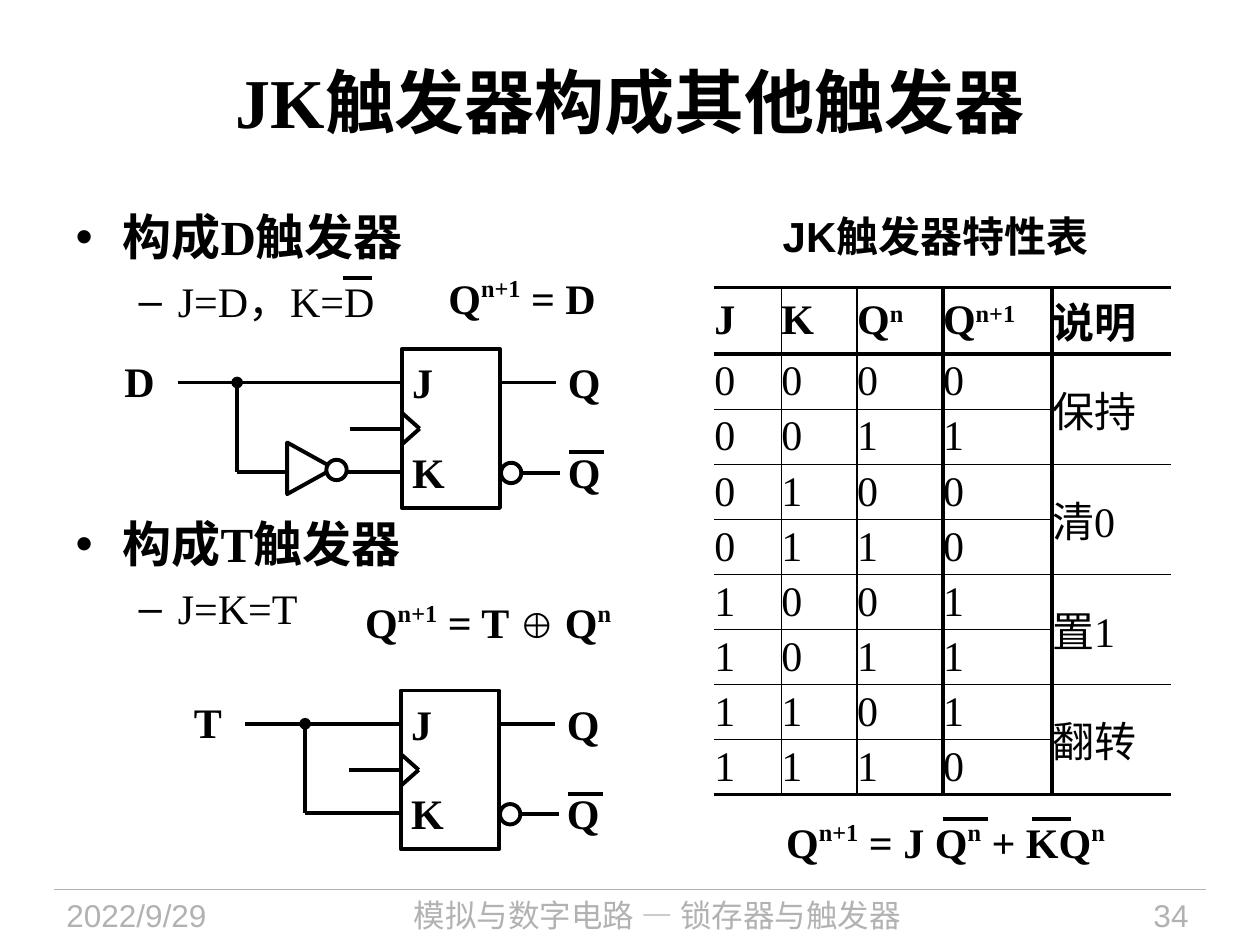
from dataclasses import dataclass

from lxml import etree
from pptx import Presentation
from pptx import util as u
from pptx.dml.color import RGBColor
from pptx.enum import shapes, text
from pptx.oxml.ns import qn

COLORS = {"ink": "000000", "paper": "FFFFFF", "muted": "B2B2B2"}
SERIF, SANS, CJK = "Times New Roman", "Arial", "Noto Sans CJK SC"
THIN, THICK = 1, 2.25


@dataclass
class Circuit:
    label: str
    label_left: float
    label_width: float
    left: float
    top: float
    wire_start: float
    branch: float
    inverted: bool = False


@dataclass
class ListItem:
    words: str
    level: int
    before: float = 0


CIRCUITS = [
    Circuit("D", 2.26, 1.12, 8.1, 7.04, 3.58, 4.78, inverted=True),
    Circuit("T", 3.66, 1.07, 8.08, 13.92, 4.93, 6.15),
]
ITEMS = [
    ListItem("构成D触发器", 0),
    ListItem("J=D，K=D", 1),
    ListItem("构成T触发器", 0, before=102.6),
    ListItem("J=K=T", 1),
]
LEVELS = [("•", 28, True, 0.95, -0.95), ("–", 24, False, 2.06, -0.79)]
HEADER = ["J", "K", "Q^n", "Q^n+1", "说明"]
NEXT_STATES = [0, 1, 0, 0, 1, 1, 1, 0]
MEANINGS = ["保持", "清0", "置1", "翻转"]
COLUMN_WIDTHS = [1.35, 1.53, 1.73, 2.2, 2.4]
COLUMN_LINES = [None, THIN, THIN, THICK, THICK, None]
ROW_LINES = [THICK, THICK] + [THIN] * 7 + [THICK]


def rgb(name: str) -> RGBColor:
    return RGBColor.from_string(COLORS[name])


def write(para, words: str, *, size=24, font=SERIF, color="ink", bold=True,
          align=text.PP_ALIGN.LEFT, raised=40) -> None:
    para.alignment = align
    for index, part in enumerate(words.split("^")):
        span = para.add_run()
        span.text = part
        symbol = part == "⊕"
        span.font.size = u.Pt(20 if symbol else size)
        span.font.name = SANS if symbol else font
        span.font.bold = bold
        span.font.color.rgb = rgb(color)
        if index % 2 and not symbol:
            span.font._element.set("baseline", str(raised * 1000))


def add_text(canvas, words: str, left: float, top: float, width: float,
             height=1.27, wrap=True, grow=True, **style):
    box = canvas.add_textbox(u.Cm(left), u.Cm(top), u.Cm(width), u.Cm(height))
    frame = box.text_frame
    frame.word_wrap = wrap
    frame.auto_size = (text.MSO_AUTO_SIZE.SHAPE_TO_FIT_TEXT if grow
                       else text.MSO_AUTO_SIZE.NONE)
    write(frame.paragraphs[0], words, **style)
    return box


def add_line(canvas, x1: float, y1: float, x2: float, y2: float,
             color="ink", weight=THICK, dot=False):
    line = canvas.add_connector(shapes.MSO_CONNECTOR.STRAIGHT,
                                u.Cm(x1), u.Cm(y1), u.Cm(x2), u.Cm(y2))
    line.line.color.rgb = rgb(color)
    line.line.width = u.Pt(weight)
    if dot:
        etree.SubElement(line.line._get_or_add_ln(), qn("a:headEnd"), type="oval")
    etree.SubElement(line._element.spPr, qn("a:effectLst"))
    return line


def add_shape(canvas, kind, left: float, top: float, width: float, height: float,
              filled=True, rotation=0):
    shape = canvas.add_shape(kind, u.Cm(left), u.Cm(top), u.Cm(width), u.Cm(height))
    shape.shadow.inherit = False
    shape.rotation = rotation
    if filled:
        shape.fill.solid()
        shape.fill.fore_color.rgb = rgb("paper")
    else:
        shape.fill.background()
    shape.line.color.rgb = rgb("ink")
    shape.line.width = u.Pt(THICK)
    return shape


def draw_circuit(page, circuit: Circuit) -> None:
    canvas = page.shapes.add_group_shape().shapes
    left, top = circuit.left, circuit.top
    j_level, clock, k_level = top + 0.67, top + 1.6, top + 2.47
    body = add_shape(canvas, shapes.MSO_SHAPE.RECTANGLE, left, top, 1.98, 3.2, filled=False)
    add_line(canvas, circuit.wire_start, j_level, left, j_level)
    add_line(canvas, left - 1.04, clock, left, clock).end_connect(body, 1)
    for offset in (-0.32, 0.32):
        add_line(canvas, left, clock + offset, left + 0.36, clock)
    add_line(canvas, left + 1.98, j_level, left + 3.1, j_level)
    add_line(canvas, left + 2.06, top + 2.49, left + 3.18, top + 2.49)
    add_shape(canvas, shapes.MSO_SHAPE.OVAL, left + 2, top + 2.29, 0.41, 0.41)
    add_line(canvas, left + 3.38, top + 2.08, left + 4.08, top + 2.08)
    for name, row in (("J", 0.03), ("K", 1.83)):
        add_text(canvas, name, left - 0.04, top + row, 0.99)
        add_text(canvas, "Q", left + 3.1, top + row, 1.17, wrap=False)
    add_line(canvas, circuit.branch, k_level, left, k_level)
    add_line(canvas, circuit.branch, j_level, circuit.branch, k_level, dot=True)
    if circuit.inverted:
        add_shape(canvas, shapes.MSO_SHAPE.FLOWCHART_MERGE, 5.74, 8.97, 1.04, 0.94, rotation=270)
        add_shape(canvas, shapes.MSO_SHAPE.OVAL, 6.58, 9.27, 0.41, 0.41)
    add_text(canvas, circuit.label, circuit.label_left, top, circuit.label_width, wrap=False)


def set_borders(cell, **weights) -> None:
    properties = cell._tc.get_or_add_tcPr()
    for index, (side, weight) in enumerate(weights.items()):
        edge = etree.Element(qn(f"a:ln{side}"), w=str(u.Pt(weight or 0)))
        if weight:
            fill = etree.SubElement(edge, qn("a:solidFill"))
            etree.SubElement(fill, qn("a:srgbClr"), val=COLORS["ink"])
        else:
            etree.SubElement(edge, qn("a:noFill"))
        properties.insert(index, edge)


def draw_table(page) -> None:
    rows = [HEADER]
    for state, following in enumerate(NEXT_STATES):
        rows.append([*f"{state:03b}", str(following), MEANINGS[state // 2]])
    table = page.shapes.add_table(len(rows), len(HEADER), u.Cm(14.4), u.Cm(5.79),
                                  u.Cm(sum(COLUMN_WIDTHS)), u.Cm(10.23)).table
    table.first_row = table.horz_banding = False
    for column, width in zip(table.columns, COLUMN_WIDTHS):
        column.width = u.Cm(width)
    for first in range(1, len(rows), 2):
        table.cell(first, 4).merge(table.cell(first + 1, 4))
    for r, values in enumerate(rows):
        table.rows[r].height = u.Cm(1.11 if r else 1.35)
        for c, value in enumerate(values):
            cell = table.cell(r, c)
            cell.fill.background()
            cell.vertical_anchor = text.MSO_ANCHOR.MIDDLE
            cell.margin_left = cell.margin_right = cell.margin_top = cell.margin_bottom = 0
            height = cell.span_height if cell.is_merge_origin else 1
            set_borders(cell, L=COLUMN_LINES[c], R=COLUMN_LINES[c + 1],
                        T=None if cell.is_spanned else ROW_LINES[r], B=ROW_LINES[r + height])
            if not cell.is_spanned:
                write(cell.text_frame.paragraphs[0], value, bold=r == 0, raised=30)


def place(holder, left: float, top: float, width: float, height: float):
    holder.left, holder.top = u.Cm(left), u.Cm(top)
    holder.width, holder.height = u.Cm(width), u.Cm(height)
    holder.text_frame.auto_size = text.MSO_AUTO_SIZE.NONE
    return holder.text_frame


def draw_list(frame) -> None:
    for index, item in enumerate(ITEMS):
        para = frame.add_paragraph() if index else frame.paragraphs[0]
        bullet, size, bold, margin, indent = LEVELS[item.level]
        para.level = item.level
        para.space_before, para.space_after = u.Pt(item.before), u.Pt(size * 0.2)
        properties = para._p.get_or_add_pPr()
        properties.set("marL", str(u.Cm(margin)))
        properties.set("indent", str(u.Cm(indent)))
        etree.SubElement(properties, qn("a:buChar"), char=bullet)
        write(para, item.words, size=size, bold=bold)


def main() -> None:
    deck = Presentation()
    deck.slide_width, deck.slide_height = u.Cm(25.4), u.Cm(19.05)
    page = deck.slides.add_slide(deck.slide_layouts[1])
    center, right = text.PP_ALIGN.CENTER, text.PP_ALIGN.RIGHT

    title = place(page.shapes.title, 1.27, 0.43, 22.86, 3.18)
    title.vertical_anchor = text.MSO_ANCHOR.MIDDLE
    write(title.paragraphs[0], "JK触发器构成其他触发器", size=40, align=center)
    draw_list(place(page.placeholders[1], 1.27, 4.04, 8.23, 13.69))
    draw_table(page)
    add_text(page.shapes, "JK触发器特性表", 15.01, 4.11, 7.7, font=SANS, align=center)

    formula = page.shapes.add_group_shape().shapes
    add_text(formula, "Q^n+1^ = J Q^n^ + KQ^n", 15.6, 16.33, 7.21)
    for start, end in ((19, 19.91), (20.8, 21.59)):
        add_line(formula, start, 16.51, end, 16.51)
    for circuit in CIRCUITS:
        draw_circuit(page, circuit)
    add_line(page.shapes, 6.91, 5.61, 7.49, 5.61)
    add_text(page.shapes, "Q^n+1^ = T ^⊕^ Q^n", 7.11, 11.91, 5.59)
    add_text(page.shapes, "Q^n+1^ = D", 8.79, 5.36, 3.81)

    add_line(page.shapes, 1.09, 17.93, 24.31, 17.93, color="muted", weight=0.75)
    footer = dict(height=1.12, grow=False, size=18, color="muted", bold=False)
    add_text(page.shapes, "2022/9/29", 1.09, 17.93, 4.78, font=SANS, **footer)
    add_text(page.shapes, "模拟与数字电路 — 锁存器与触发器", 6.1, 17.93, 14.3,
             font=CJK, align=center, **footer)
    add_text(page.shapes, "34", 20.83, 17.93, 3.38, font=SANS, align=right, **footer)

    deck.save("out.pptx")


if __name__ == "__main__":
    main()
